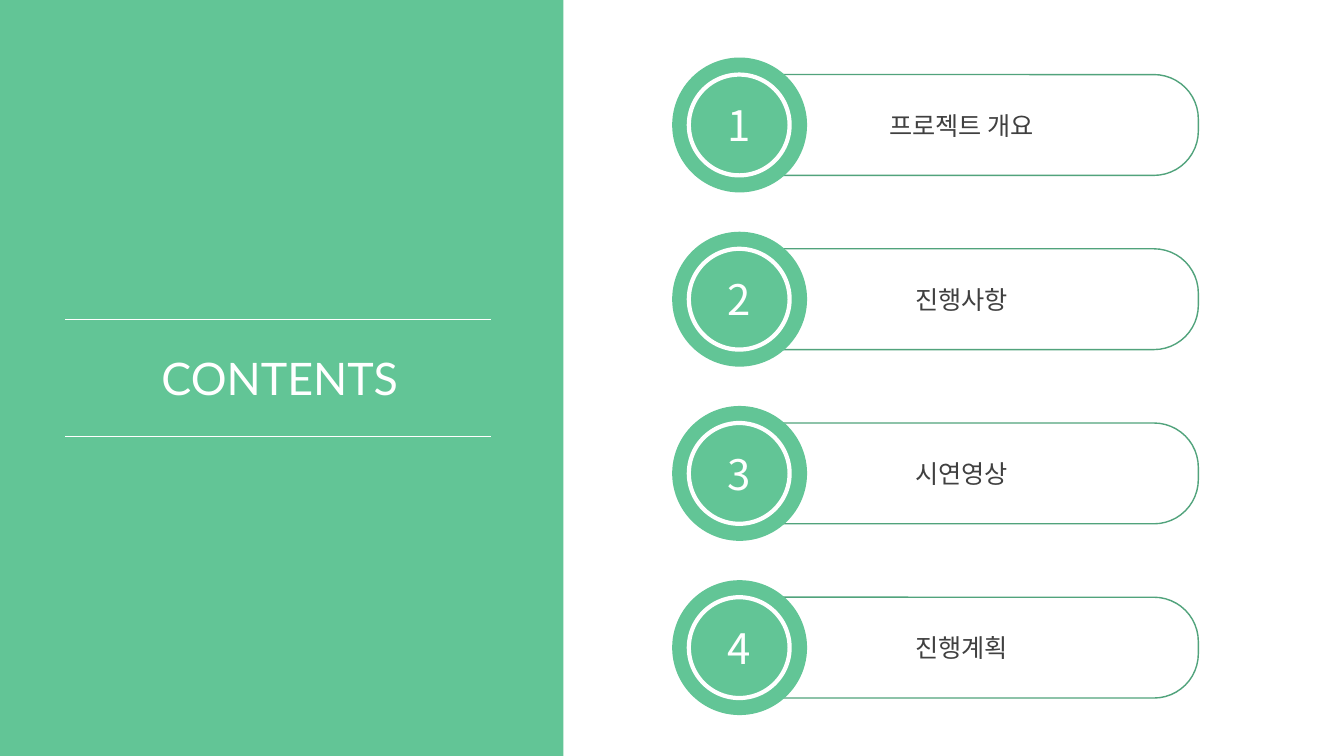
from lxml import etree
from pptx import Presentation
from pptx import util as u
from pptx.dml.color import RGBColor
from pptx.enum import shapes, text
from pptx.oxml.ns import qn

COLORS = {"green": "62C596", "outline": "51A37C", "white": "FFFFFF", "ink": "404040"}
TOPICS = ["프로젝트 개요", "진행사항", "시연영상", "진행계획"]
FIRST_CENTER, PITCH = 3.15, 4.39


class ContentsSlide:
    """Holds the style and the current slide; lengths are centimetres."""

    latin_font = "Lato"
    korean_font = "Noto Sans CJK KR"

    def __init__(self, presentation):
        self.slide = presentation.slides.add_slide(presentation.slide_layouts[5])

    def color(self, name):
        return RGBColor.from_string(COLORS[name])

    def set_text(self, shape, words, size, color, font, align, **frame_format):
        frame = shape.text_frame
        frame_format = {"vertical_anchor": text.MSO_ANCHOR.MIDDLE, "word_wrap": True, **frame_format}
        for name, value in frame_format.items():
            setattr(frame, name, value)
        paragraph = frame.paragraphs[0]
        paragraph.alignment = align
        run = paragraph.add_run()
        run.text = words
        run.font.color.rgb = self.color(color)
        for name, value in {"size": u.Pt(size), "name": font, "bold": False}.items():
            setattr(run.font, name, value)
        # East Asian letters take their typeface from a separate element
        etree.SubElement(run._r.get_or_add_rPr(), qn("a:ea"), typeface=font)

    def title(self, words, left, top, width, height):
        title = self.slide.shapes.title
        box = {"left": left, "top": top, "width": width, "height": height}
        for name, value in box.items():
            setattr(title, name, u.Cm(value))
        self.set_text(title, words, 32, "white", self.latin_font, text.PP_ALIGN.RIGHT,
                      word_wrap=False, auto_size=text.MSO_AUTO_SIZE.SHAPE_TO_FIT_TEXT)

    def shape(self, kind, left, top, width, height, fill=None, line=None, weight=1):
        shape = self.slide.shapes.add_shape(kind, *map(u.Cm, (left, top, width, height)))
        shape.shadow.inherit = False
        if fill:
            shape.fill.solid()
            shape.fill.fore_color.rgb = self.color(fill)
        else:
            shape.fill.background()
        if line:
            shape.line.color.rgb = self.color(line)
            shape.line.width = u.Pt(weight)
        else:
            shape.line.fill.background()
        return shape

    def label(self, shape, words, size, color):
        self.set_text(shape, words, size, color, self.korean_font, text.PP_ALIGN.CENTER)

    def rule(self, left, right, y):
        line = self.slide.shapes.add_connector(
            shapes.MSO_CONNECTOR.STRAIGHT, *map(u.Cm, (left, y, right, y)))
        line.line.color.rgb = self.color("white")
        line.line.width = u.Pt(1)
        etree.SubElement(line.element.spPr, qn("a:effectLst"))

    def circle(self, center_x, center_y, size, **style):
        return self.shape(shapes.MSO_SHAPE.OVAL, center_x - size / 2, center_y - size / 2,
                          size, size, **style)

    def topic(self, number, words, center_y):
        # Outlined bar
        bar = self.shape(shapes.MSO_SHAPE.ROUNDED_RECTANGLE, 18.26, center_y - 1.27,
                         11.94, 2.54, line="outline")
        bar.adjustments[0] = 0.44
        self.label(bar, words, 18, "ink")
        # Numbered badge with its ring
        badge = self.circle(18.64, center_y, 3.4, fill="green")
        self.label(badge, str(number), 30, "white")
        self.circle(18.63, center_y, 2.54, line="white", weight=3)


def main():
    presentation = Presentation()
    presentation.slide_width, presentation.slide_height = u.Cm(33.87), u.Cm(19.05)
    contents = ContentsSlide(presentation)

    # Left panel, placed behind the title
    panel = contents.shape(shapes.MSO_SHAPE.RECTANGLE, 0, 0, 14.2, 19.05, fill="green")
    contents.slide.shapes.title.element.addprevious(panel.element)
    contents.title("CONTENTS", 3.76, 8.71, 6.53, 1.63)
    for y in (8.05, 11):
        contents.rule(1.65, 12.37, y)

    # Topic list
    for index, words in enumerate(TOPICS):
        contents.topic(index + 1, words, FIRST_CENTER + index * PITCH)

    presentation.save("out.pptx")


if __name__ == "__main__":
    main()
